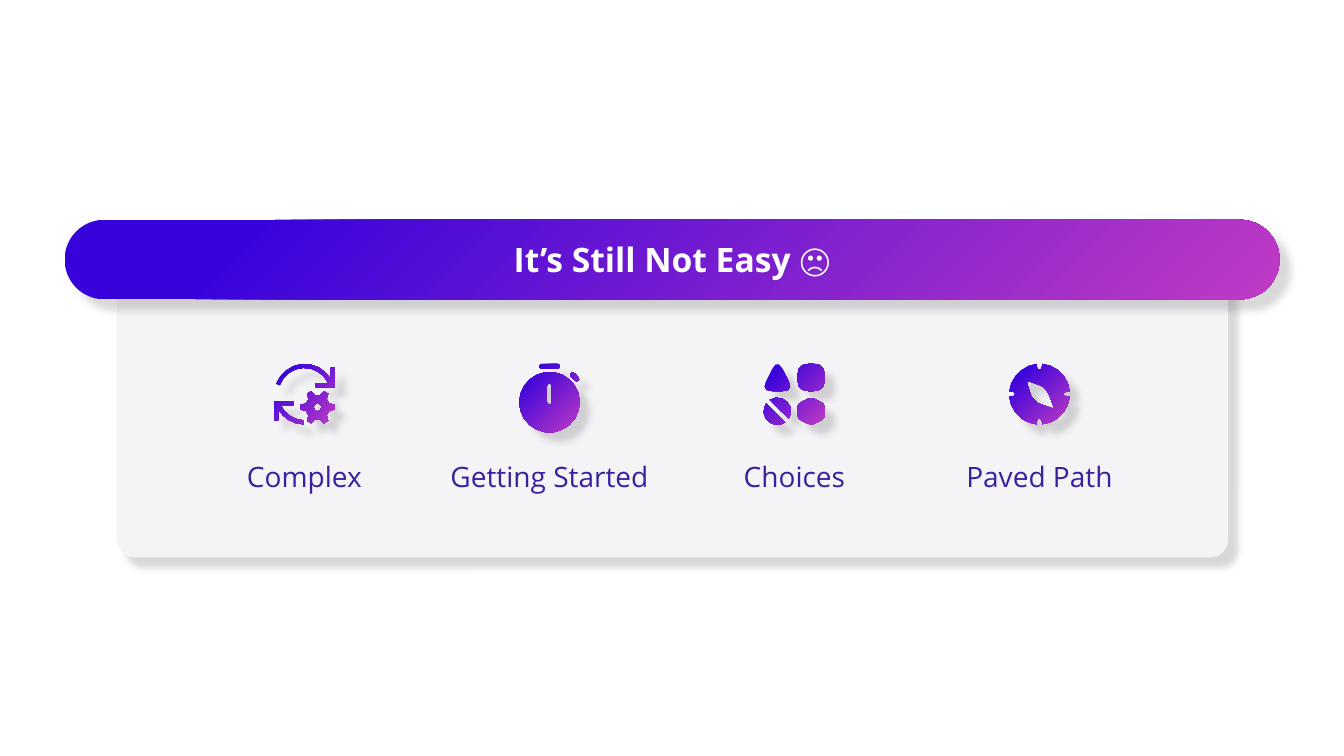
from math import atan2, cos, degrees, radians, sin

from pptx import Presentation
from pptx.dml.color import RGBColor
from pptx.enum.shapes import MSO_SHAPE
from pptx.enum.text import MSO_ANCHOR, MSO_AUTO_SIZE, PP_ALIGN
from pptx.oxml import parse_xml
from pptx.oxml.ns import nsdecls, qn
from pptx.util import Pt

PX = 9144  # 100 px to the inch
FONT = "Open Sans"
WHITE = RGBColor(0xFF, 0xFF, 0xFF)
PALE = RGBColor(0xF4, 0xF3, 0xF5)
INDIGO = RGBColor(0x3A, 0x20, 0xA0)
PINK = RGBColor(0xC0, 0x3B, 0xC4)
BLUE = RGBColor(0x38, 0x03, 0xDB)
GREY = RGBColor(0xB1, 0xB3, 0xB3)
DARK = RGBColor(0x45, 0x41, 0x42)

FIRST, STEP = 302, 243  # centre of the first column, column pitch
ICON_TOP, LABEL_TOP = 361, 451
BAR = (64, 218, 1205, 79)
CARD = (116, 260, 1102, 293)


def box(*px):
    return [n * PX for n in px]


def polar(x, y, r, turn):
    """Point on a circle; degrees run clockwise from the right."""
    return x + r * cos(radians(turn)), y + r * sin(radians(turn))


def arc(x, y, r, start, end):
    """Points along a circle, fewer on small or short arcs."""
    span = end - start
    steps = max(2, round(abs(span) * r ** 0.5 / 90))
    return [polar(x, y, r, start + span * i / steps) for i in range(steps + 1)]


def pill(x1, y1, x2, y2, r):
    """Thick line with round ends."""
    way = degrees(atan2(y2 - y1, x2 - x1))
    return arc(x1, y1, r, way + 90, way + 270) + arc(x2, y2, r, way - 90, way + 90)


def soften(corners, r):
    """Polygon whose corners are rounded, starting r away from each."""
    points = []
    for i, (x, y) in enumerate(corners):
        ends = []
        for u, v in (corners[i - 1], corners[(i + 1) % len(corners)]):
            size = ((u - x) ** 2 + (v - y) ** 2) ** 0.5
            ends.append((x + (u - x) * r / size, y + (v - y) * r / size))
        (ax, ay), (bx, by) = ends
        for t in (n / 3 for n in range(4)):
            s = 1 - t
            points.append((s * s * ax + 2 * s * t * x + t * t * bx,
                           s * s * ay + 2 * s * t * y + t * t * by))
    return points


def arrow(start):
    """Curved arrow from the given angle to the upper right."""
    head = [(56, 4), (60, 4), (60, 23), (41, 23), (41, 19)]
    return arc(30, 30, 30, start, 330) + head + arc(30, 30, 26, 335, start)


def cycle():
    tooth = ((17, -8), (17, 8), (12, 18), (12, 42))
    gear = [polar(43, 43, r, base + turn)
            for base in range(0, 360, 60) for r, turn in tooth]
    back = [(60 - x, 60 - y) for x, y in arrow(272)]
    return [arrow(200), back, gear, arc(43, 43, 4, 0, 360)]


def timer():
    return [arc(30, 38, 30, 0, 360), pill(30, 22, 30, 38, 2.5),
            pill(22, 2.5, 38, 2.5, 2.5), pill(53, 11, 57, 15, 2.5)]


def choices():
    return [
        soften([(-3, 27), (13, -5), (29, 27)], 11),
        soften([(33, 0), (60, 0), (60, 27), (33, 27)], 11),
        arc(13, 47, 13.5, 236, 393),
        arc(13, 47, 13.5, 55, 215),
        soften([(46.5, 33), (60, 40), (60, 54), (46.5, 61), (33, 54), (33, 40)], 4),
    ]


def compass():
    rim = []
    for turn in range(0, 360, 90):
        rim += arc(30, 30, 30, turn + 5, turn + 85)
        x, y = polar(30, 30, 26.5, turn + 90)
        rim += arc(x, y, 2.5, turn + 360, turn + 180)
    needle = [(17, 16.5), (33, 22), (38.5, 28), (45, 45), (28, 39), (22, 33)]
    return [rim, soften(needle, 3)]


def blend(shape):
    """Fill with a round gradient that is pink at the lower right."""
    shape.fill.background()
    props = shape._element.spPr
    fill = parse_xml(
        f'<a:gradFill {nsdecls("a")} rotWithShape="1"><a:gsLst>'
        f'<a:gs pos="0"><a:srgbClr val="{PINK}"/></a:gs>'
        f'<a:gs pos="85000"><a:srgbClr val="{BLUE}"/></a:gs></a:gsLst>'
        '<a:path path="circle"><a:fillToRect l="100000" t="100000"/></a:path>'
        '</a:gradFill>')
    props.replace(props.find(qn("a:noFill")), fill)


def shade(shape, color, alpha):
    """Drop the outline and cast a soft shadow to the lower right."""
    shape.line.fill.background()
    shape.shadow.inherit = False
    shape._element.spPr.find(qn("a:effectLst")).append(parse_xml(
        f'<a:outerShdw {nsdecls("a")} blurRad="{Pt(5)}" dist="{Pt(10)}" '
        f'dir="2700000" algn="tl" rotWithShape="0"><a:srgbClr val="{color}">'
        f'<a:alpha val="{alpha * 1000}"/></a:srgbClr></a:outerShdw>'))


def panel(slide, place, round_by):
    shape = slide.shapes.add_shape(MSO_SHAPE.ROUNDED_RECTANGLE, *box(*place))
    shape.adjustments[0] = round_by
    return shape


def icon(slide, left, top, rings):
    rings = [[((left + x) * PX, (top + y) * PX) for x, y in ring] for ring in rings]
    pen = slide.shapes.build_freeform(*rings[0][0])
    for ring in rings:
        if ring is not rings[0]:
            pen.move_to(*ring[0])
        pen.add_line_segments(ring[1:], close=True)
    shape = pen.convert_to_shape()
    blend(shape)
    shade(shape, DARK, 20)


def write(frame, text, size, color, bold=False):
    frame.word_wrap = True
    frame.text = text
    line = frame.paragraphs[0]
    line.alignment = PP_ALIGN.CENTER
    line.line_spacing = 1.0
    font = line.runs[0].font
    font.name, font.size, font.bold = FONT, Pt(size), bold
    font.color.rgb = color


def header(slide, text):
    bar = panel(slide, BAR, 0.5)
    blend(bar)
    shade(bar, DARK, 20)
    title = slide.shapes.title
    title.left, title.top, title.width, title.height = box(*BAR)
    frame = title.text_frame
    frame.margin_left = frame.margin_right = 0
    frame.margin_top = frame.margin_bottom = 0
    frame.vertical_anchor = MSO_ANCHOR.MIDDLE
    frame.auto_size = MSO_AUTO_SIZE.NONE
    write(frame, text, 24, WHITE, True)
    bar._element.addnext(title._element)


def main():
    deck = Presentation()
    deck.slide_width, deck.slide_height = box(1333, 750)
    slide = deck.slides.add_slide(deck.slide_layouts[5])

    card = panel(slide, CARD, 0.06)
    card.fill.solid()
    card.fill.fore_color.rgb = PALE
    shade(card, GREY, 50)

    topics = (("Complex", cycle), ("Getting Started", timer),
              ("Choices", choices), ("Paved Path", compass))
    for i, (name, draw) in enumerate(topics):
        mid = FIRST + i * STEP
        label = slide.shapes.add_textbox(*box(mid - 120, LABEL_TOP, 240, 44))
        write(label.text_frame, name, 20, INDIGO)
        icon(slide, mid - 30, ICON_TOP, draw())

    header(slide, "It’s Still Not Easy 🙁")
    deck.save("out.pptx")


if __name__ == "__main__":
    main()
